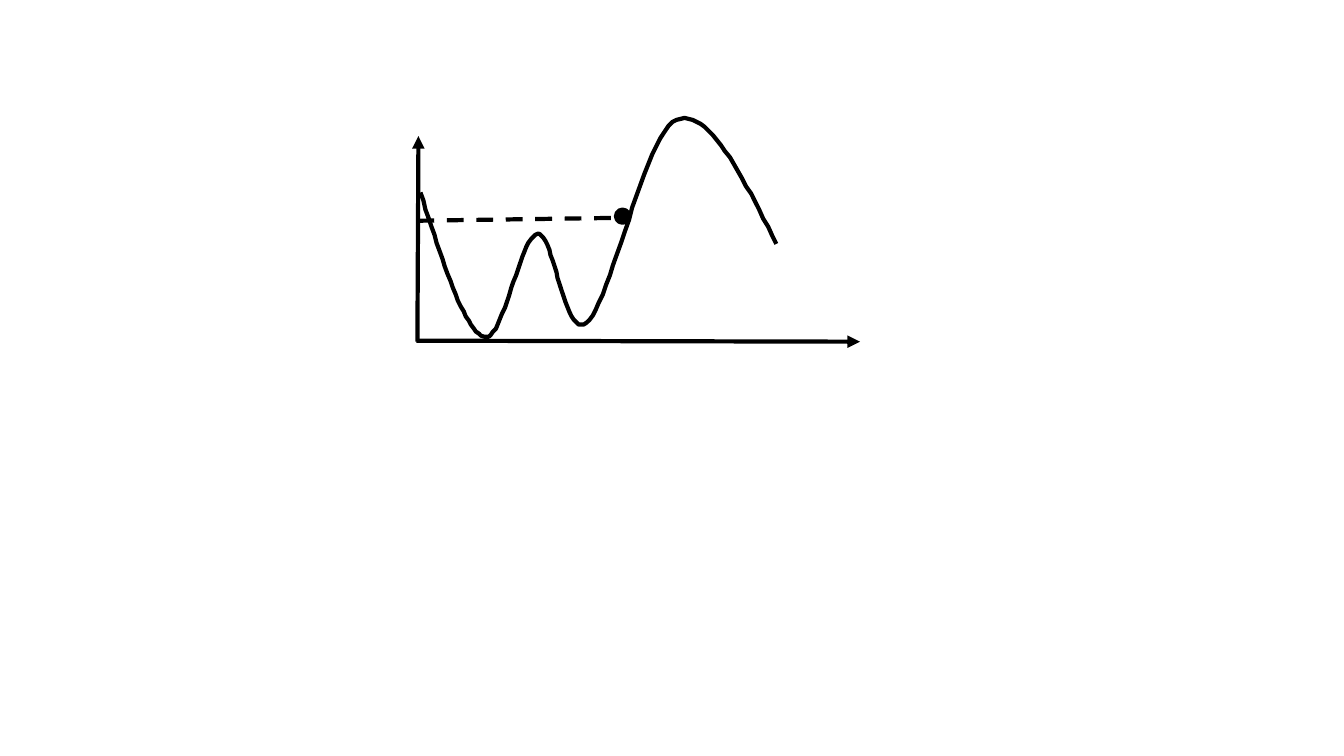
from lxml import etree
from pptx import Presentation
from pptx import util as u
from pptx.dml.color import RGBColor
from pptx.enum import dml, shapes
from pptx.oxml.ns import qn

PX = 9144
BLACK = RGBColor(0, 0, 0)
STEPS = 24
START = (4, 73)
BENDS = [
    ((26, 141), (47, 209), (67, 216)),
    ((86, 223), (103, 116), (120, 114)),
    ((137, 112), (146, 221), (169, 202)),
    ((192, 184), (227, 14), (258, 1)),
    ((289, -12), (323, 56), (357, 124)),
]


def ink(line):
    """Give a line the weight and colour of the plot."""
    line.color.rgb = BLACK
    line.width = u.Pt(3)


def stroke(group, box, start, end, arrow=False, dash=False):
    """Draw a straight line between two points of the box."""
    left, top = box
    ends = [(left + x, top + y) for x, y in (start, end)]
    link = group.shapes.add_connector(
        shapes.MSO_CONNECTOR.STRAIGHT, *[v * PX for point in ends for v in point])
    ink(link.line)
    if dash:
        link.line.dash_style = dml.MSO_LINE.DASH
    if arrow:
        etree.SubElement(link.line._get_or_add_ln(), qn("a:tailEnd"), type="triangle")
    etree.SubElement(link._element.spPr, qn("a:effectLst"))


def trace(start, bends):
    """Return points along a chain of cubic bends."""
    points = [start]
    for one, two, end in bends:
        first = points[-1]
        for step in range(1, STEPS + 1):
            t = step / STEPS
            s = 1 - t
            points.append(tuple(
                s**3 * a + 3 * s * s * t * b + 3 * s * t * t * c + t**3 * d
                for a, b, c, d in zip(first, one, two, end)))
    return points


def curve(group, box):
    """Draw the smooth landscape with its two wells and its peak."""
    left, top = box
    points = [(left + x, top + y) for x, y in trace(START, BENDS)]
    pen = group.shapes.build_freeform(*points[0], scale=PX)
    pen.add_line_segments(points[1:], close=False)
    wave = pen.convert_to_shape()
    wave.shadow.inherit = False
    wave.fill.background()
    ink(wave.line)


def ball(group, box):
    """Place the round marker on the slope."""
    left, top = box
    dot = group.shapes.add_shape(
        shapes.MSO_SHAPE.OVAL, (left + 198) * PX, (top + 90) * PX, 13 * PX, 13 * PX)
    dot.shadow.inherit = False
    dot.fill.solid()
    dot.fill.fore_color.rgb = BLACK
    ink(dot.line)


def plot(slide, box):
    """Draw the axes, level, marker and curve as one group."""
    group = slide.shapes.add_group_shape()
    stroke(group, box, (1, 221), (2, 17), arrow=True)
    stroke(group, box, (0, 220), (440, 221), arrow=True)
    ball(group, box)
    stroke(group, box, (1, 101), (209, 98), dash=True)
    curve(group, box)


def main():
    """Build and save the slide."""
    deck = Presentation()
    deck.slide_width, deck.slide_height = 1333 * PX, 750 * PX
    slide = deck.slides.add_slide(deck.slide_layouts[6])
    plot(slide, (413, 118))
    deck.save("out.pptx")


if __name__ == "__main__":
    main()
